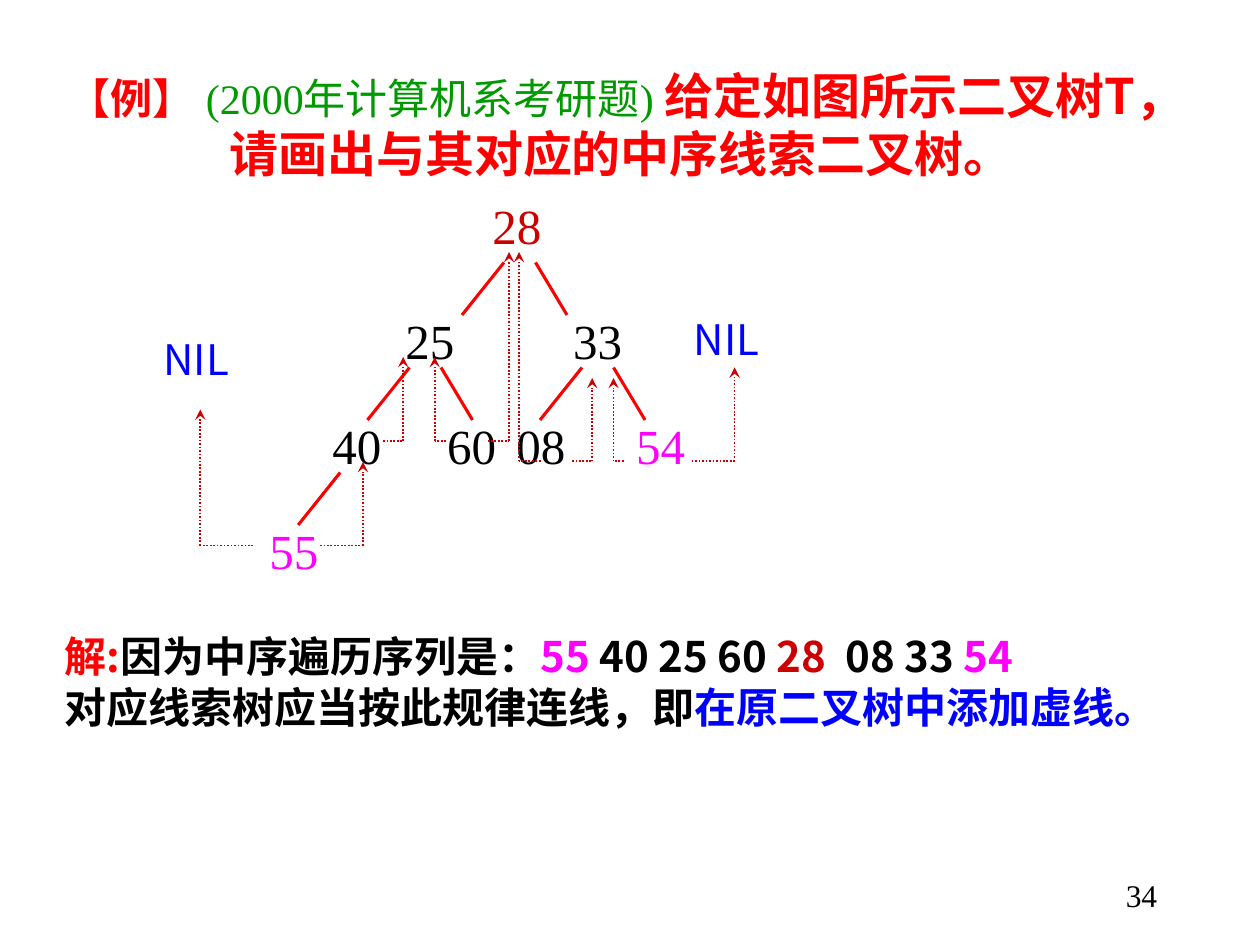
import pptx
import pptx.dml.color
import pptx.enum.dml
import pptx.enum.shapes
import pptx.enum.text
import pptx.oxml.ns
import pptx.util
from lxml import etree

Pt = pptx.util.Pt
RGB = pptx.dml.color.RGBColor
RED = RGB(0xFF, 0x00, 0x00)
DARK = RGB(0xCC, 0x00, 0x00)
GREEN = RGB(0x00, 0x99, 0x00)
BLUE = RGB(0x00, 0x00, 0xFF)
PINK = RGB(0xFF, 0x00, 0xFF)
BLACK = RGB(0x00, 0x00, 0x00)
SANS = "Noto Sans CJK SC"
SERIF = "Times New Roman"
ALIGN = pptx.enum.text.PP_ALIGN

NODES = [
    ("28", 187.9, 0, DARK), ("25", 138.2, 66.2, BLACK),
    ("33", 234, 66.2, BLACK), ("40", 96.5, 126, BLACK),
    ("60", 162, 126, BLACK), ("08", 201.6, 126, BLACK),
    ("54", 270, 126, PINK), ("55", 60.5, 185.8, PINK),
]
FORKS = [
    (201.6, 42, "LR"), (147.6, 102, "LR"),
    (246.2, 102, "LR"), (108, 162, "L"),
]
THREADS = [
    (58.3, 28.1, 203.8, 126), (96.5, 121, 203.8, 156),
    (132.5, 144, 144, 96), (192.2, 204.5, 144, 36),
    (168.5, 162, 144, 96), (270, 264.2, 155.6, 108),
    (222.5, 210.2, 155.6, 36), (240.5, 252, 155.6, 108),
    (308.9, 333.4, 155.6, 102),
]
NILS = [(0, 77.8), (303.1, 66.2)]


def add_run(para, text, size, face, color, bold=False):
    """Add one formatted run to a paragraph."""
    run = para.add_run()
    run.text = text
    font = run.font
    font.size, font.name, font.bold = Pt(size), face, bold
    font.color.rgb = color
    east = etree.SubElement(run._r.rPr, pptx.oxml.ns.qn("a:ea"))
    east.set("typeface", SANS)


def set_frame(frame, wrap=True, top=3.6):
    """Set the insets and wrapping of a text frame."""
    frame.word_wrap = wrap
    frame.auto_size = pptx.enum.text.MSO_AUTO_SIZE.NONE
    frame.margin_left = frame.margin_right = Pt(7.2)
    frame.margin_top, frame.margin_bottom = Pt(top), Pt(3.6)


def add_box(slide, x, y, w, h, wrap=True, top=3.6):
    """Add a text box and return its frame."""
    box = slide.shapes.add_textbox(Pt(x), Pt(y), Pt(w), Pt(h))
    set_frame(box.text_frame, wrap, top)
    return box.text_frame


def add_line(slide, start, end, color, width, dots=False, arrow=False):
    """Draw a straight line, dotted or with an arrowhead if asked."""
    kind = pptx.enum.shapes.MSO_CONNECTOR.STRAIGHT
    line = slide.shapes.add_connector(kind, *map(Pt, start + end))
    line.line.color.rgb = color
    line.line.width = Pt(width)
    if dots:
        line.line.dash_style = pptx.enum.dml.MSO_LINE.ROUND_DOT
    props = line._element.spPr
    if arrow:
        stroke = props.find(pptx.oxml.ns.qn("a:ln"))
        tail = etree.SubElement(stroke, pptx.oxml.ns.qn("a:tailEnd"))
        tail.set("type", "stealth")
    etree.SubElement(props, pptx.oxml.ns.qn("a:effectLst"))


def add_title(slide, x, y, w, h):
    """Place and fill the title placeholder."""
    title = slide.shapes.title
    title.left, title.top, title.width, title.height = map(Pt, (x, y, w, h))
    frame = title.text_frame
    set_frame(frame, top=9)
    frame.vertical_anchor = pptx.enum.text.MSO_ANCHOR.MIDDLE
    para = frame.paragraphs[0]
    para.alignment = ALIGN.CENTER
    para.line_spacing = Pt(33)
    add_run(para, "【例】", 24, SANS, RED, True)
    add_run(para, " ", 28, SERIF, GREEN, True)
    add_run(para, "(2000年计算机系考研题) ", 24, SERIF, GREEN)
    add_run(para, "给定如图所示二叉树T，请画出与其对应的中序线索二叉树。 ",
            28, SANS, RED, True)


def add_tree(slide, x, y):
    """Draw the nodes and branches of the binary tree."""
    for text, left, top, color in NODES:
        frame = add_box(slide, x + left, y + top, 42.5, 41, False)
        add_run(frame.paragraphs[0], text, 28, SERIF, color)
    for left, top, sides in FORKS:
        for side in sides:
            gap, run = (0, -24) if side == "L" else (18, 18)
            start = (x + left + gap, y + top)
            end = (start[0] + run, start[1] + 30)
            add_line(slide, start, end, RED, 1.75)


def add_threads(slide, x, y):
    """Draw the dotted threads and their two NIL ends."""
    for begin, turn, low, high in THREADS:
        corner = (x + turn, y + low)
        add_line(slide, (x + begin, y + low), corner, DARK, 1, True)
        add_line(slide, corner, (x + turn, y + high), DARK, 1, True, True)
    for left, top in NILS:
        frame = add_box(slide, x + left, y + top, 57.6, 36, False)
        para = frame.paragraphs[0]
        para.line_spacing = Pt(30)
        add_run(para, "NIL", 24, SANS, BLUE)


def add_answer(slide, x, y, w, h):
    """Write the answer in two lines."""
    lines = [
        [("解:", RED), ("因为中序遍历序列是：", BLACK), ("55", PINK),
         (" 40 25 60 ", BLACK), ("28", DARK), ("  08 33 ", BLACK),
         ("54", PINK)],
        [("对应线索树应当按此规律连线，即", BLACK),
         ("在原二叉树中添加虚线。", BLUE)],
    ]
    frame = add_box(slide, x, y, w, h, top=6)
    for row, parts in enumerate(lines):
        para = frame.add_paragraph() if row else frame.paragraphs[0]
        para.line_spacing = Pt(29)
        for text, color in parts:
            add_run(para, text, 24, SANS, color, True)


def add_number(slide, x, y, w, h):
    """Write the page number."""
    para = add_box(slide, x, y, w, h).paragraphs[0]
    para.alignment = ALIGN.RIGHT
    add_run(para, "34", 18, SERIF, BLACK)


def main():
    """Build the slide and save it."""
    deck = pptx.Presentation()
    deck.slide_width, deck.slide_height = Pt(720), Pt(540)
    slide = deck.slides.add_slide(deck.slide_layouts[5])
    add_title(slide, 30, 31.5, 656, 74)
    add_tree(slide, 86.4, 108)
    add_answer(slide, 30, 354, 642, 93.6)
    add_threads(slide, 86.4, 108)
    add_number(slide, 518.4, 496.8, 150, 36)
    deck.save("out.pptx")


if __name__ == "__main__":
    main()
